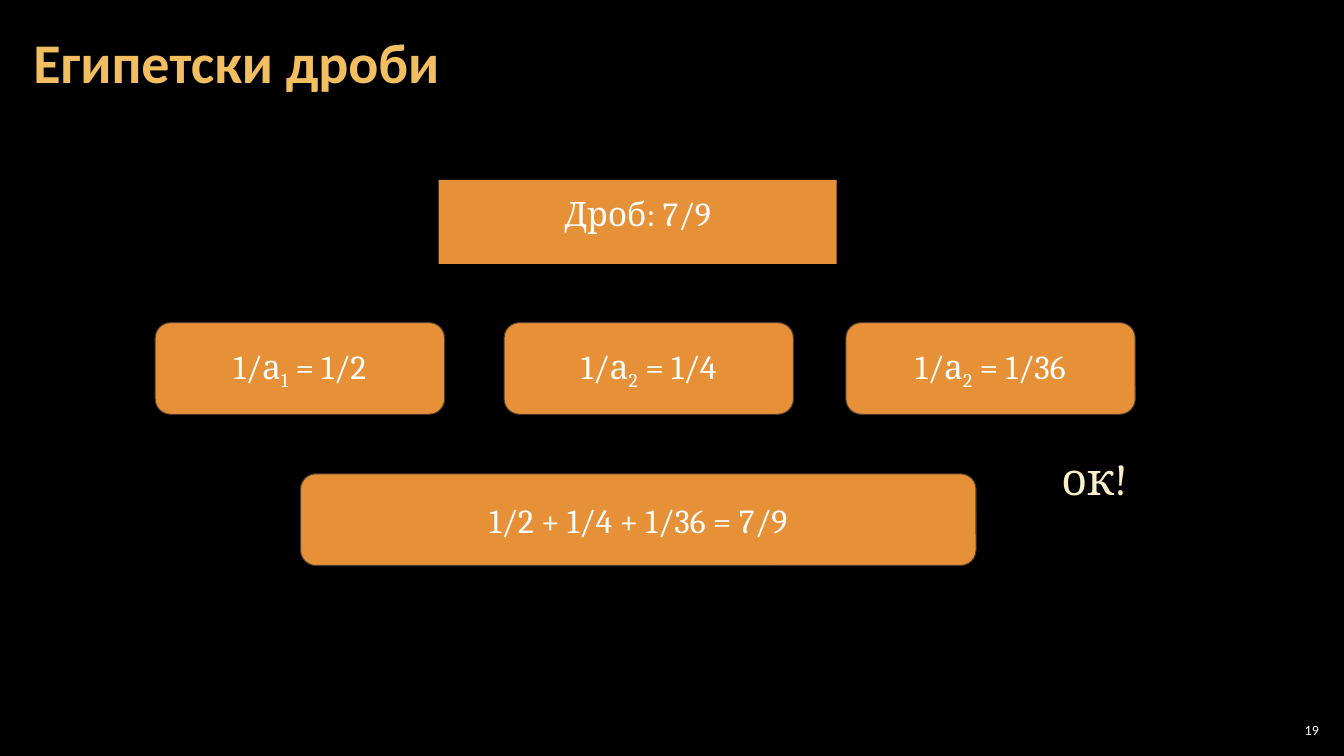
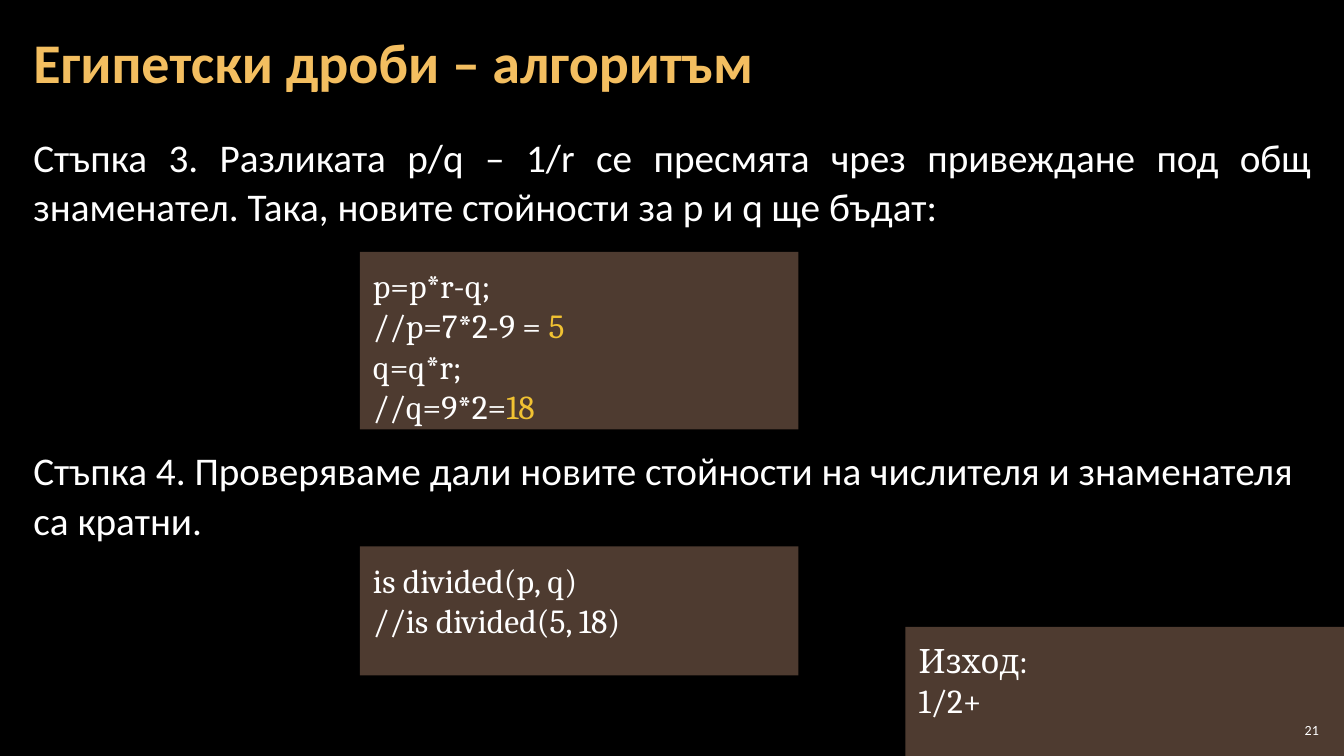
from dataclasses import dataclass

from lxml import etree
from pptx import Presentation
from pptx import util as u
from pptx.dml.color import RGBColor
from pptx.enum import shapes, text
from pptx.oxml.ns import qn


@dataclass(frozen=True)
class Theme:
    back: str = "000000"
    title: str = "F3BE60"
    white: str = "FFFFFF"
    orange: str = "E69138"
    brown: str = "4E3B30"
    cream: str = "FBEEC9"
    yellow: str = "F1C232"
    sans: str = "Calibri"
    serif: str = "Cambria"
    title_size: int = 40
    ok_size: int = 32
    body_size: int = 28
    box_size: int = 24
    number_size: int = 10


T = Theme()
A, P = text.PP_ALIGN, text.MSO_ANCHOR
BOX = shapes.MSO_SHAPE

prs = Presentation()
prs.slide_width, prs.slide_height = u.Inches(13.33), u.Inches(7.5)
COL, ROW = prs.slide_width / 100, prs.slide_height / 100  # 100 x 100 grid
back = prs.slide_master.background.fill
back.solid()
back.fore_color.rgb = RGBColor.from_string(T.back)


def write(s, paras, size, color=T.white, face=T.serif, bold=False,
          inset=(0.13, 0.13), **fmt):
    """Fill a shape; a paragraph is a list of (text, colour, baseline)."""
    tf = s.text_frame
    frame = dict(word_wrap=True, auto_size=text.MSO_AUTO_SIZE.NONE,
                 vertical_anchor=fmt.pop("anchor", P.TOP),
                 margin_left=u.Inches(inset[0]), margin_right=u.Inches(inset[0]),
                 margin_top=u.Inches(inset[1]), margin_bottom=u.Inches(inset[1]))
    for key, value in frame.items():
        setattr(tf, key, value)
    for i, runs in enumerate(paras):
        p = tf.add_paragraph() if i else tf.paragraphs[0]
        for key, value in {"alignment": A.LEFT, **fmt}.items():
            setattr(p, key, value)
        for words, tint, base in runs:
            r = p.add_run()
            r.text = words
            for key, value in dict(size=u.Pt(size), name=face, bold=bold).items():
                setattr(r.font, key, value)
            r.font.color.rgb = RGBColor.from_string(tint or color)
            if base:
                r._r.get_or_add_rPr().set("baseline", str(base * 1000))


def box(sl, kind, x, y, w, h, fill, line=None):
    """Add a filled preset shape placed on the grid."""
    s = sl.shapes.add_shape(kind, *map(int, (x * COL, y * ROW, w * COL, h * ROW)))
    s.shadow.inherit = False
    s.fill.solid()
    s.fill.fore_color.rgb = RGBColor.from_string(fill)
    if line:
        s.line.color.rgb = RGBColor.from_string(line)
        s.line.width = u.Pt(0.75)
    else:
        s.line.fill.background()
    return s


# Titles and slide numbers
slides = []
for layout, heading, number in ((5, "Египетски дроби", "19"),
                                (1, "Египетски дроби – алгоритъм", "21")):
    sl = prs.slides.add_slide(prs.slide_layouts[layout])
    s = sl.shapes.title
    s.left, s.top, s.width, s.height = map(
        int, (1.58 * COL, 0.53 * ROW, 96.85 * COL, 16.13 * ROW))
    write(s, [[(heading, None, 0)]], T.title_size, T.title, T.sans, True,
          (0.12, 0.04), anchor=P.MIDDLE, line_spacing=0.9)
    slides.append((sl, number))
fractions, algorithm = slides[0][0], slides[1][0]

# Slide 1: the fraction, its terms and their sum
s = box(fractions, BOX.RECTANGLE, 32.63, 23.8, 29.63, 11.1, T.orange)
write(s, [[("Дроб: 7/9", None, 0)]], T.box_size, alignment=A.CENTER)

terms = [(x, 42.67, 21.53, [("1/а", None, 0), (index, None, -25), (value, None, 0)])
         for x, index, value in ((11.55, "1", " = 1/2"), (37.51, "2", " = 1/4"),
                                 (62.94, "2", " = 1/36"))]
total = (22.36, 62.67, 50.26, [("1/2 + 1/4 + 1/36 = 7/9", None, 0)])
for x, y, w, runs in terms + [total]:
    s = box(fractions, BOX.ROUNDED_RECTANGLE, x, y, w, 12.13, T.orange, T.brown)
    write(s, [runs], T.box_size, alignment=A.CENTER, anchor=P.MIDDLE)

s = fractions.shapes.add_textbox(
    *map(int, (76.22 * COL, 58.93 * ROW, 10.43 * COL, 13.6 * ROW)))
write(s, [[("ок!", None, 0)]], T.ok_size, T.cream, inset=(0.1, 0.05),
      alignment=A.CENTER)
rpr = s.text_frame.paragraphs[0].runs[0]._r.get_or_add_rPr()
ln = etree.Element(qn("a:ln"), w=str(u.Pt(0.75)))
fill = etree.SubElement(ln, qn("a:solidFill"))
etree.SubElement(fill, qn("a:srgbClr"), val=T.brown)
rpr.insert(0, ln)

# Slide 2: steps, with room for code between them
s = algorithm.placeholders[1]
s.left, s.top, s.width, s.height = map(
    int, (1.58 * COL, 16.8 * ROW, 96.85 * COL, 81.2 * ROW))
steps = ["Стъпка 3. Разликата p/q – 1/r се пресмята чрез привеждане под общ "
         "знаменател. Така, новите стойности за p и q ще бъдат:",
         "Стъпка 4. Проверяваме дали новите стойности на числителя и "
         "знаменателя са кратни."]
write(s, [[(step, None, 0)] for step in steps], T.body_size, face=T.sans,
      inset=(0.12, 0.04), line_spacing=1.05, space_after=u.Pt(6))
for p, align, before in zip(s.text_frame.paragraphs, (A.JUSTIFY, A.LEFT), (0, 147)):
    p.alignment, p.space_before = align, u.Pt(before)
    ppr = p._p.get_or_add_pPr()
    ppr.set("marL", "0")
    ppr.set("indent", "0")
    etree.SubElement(ppr, qn("a:buNone"))

# Code and output boxes
code_w = 32.63
for x, y, h, lines in (
        (26.78, 33.33, 23.47, [[("p=p*r-q;", None, 0)],
                               [("//p=7*2-9 = ", None, 0), ("5", T.yellow, 0)],
                               [("q=q*r;", None, 0)],
                               [("//q=9*2=", None, 0), ("18", T.yellow, 0)]]),
        (26.78, 72.27, 17.07, [[("is divided(p, q)", None, 0)],
                               [("//is divided(5, 18)", None, 0)]]),
        (100 - code_w, 82.93, 17.07, [[("Изход:", None, 0)], [("1/2+", None, 0)]])):
    s = box(algorithm, BOX.RECTANGLE, x, y, code_w, h, T.brown)
    write(s, lines, T.box_size)

# Slide numbers lie above everything else
for sl, number in slides:
    s = sl.shapes.add_textbox(
        *map(int, (94.9 * COL, 95.2 * ROW, 3.53 * COL, 2.8 * ROW)))
    write(s, [[(number, None, 0)]], T.number_size, face=T.sans,
          inset=(0.04, 0.04), alignment=A.RIGHT, anchor=P.MIDDLE)

prs.save("out.pptx")
